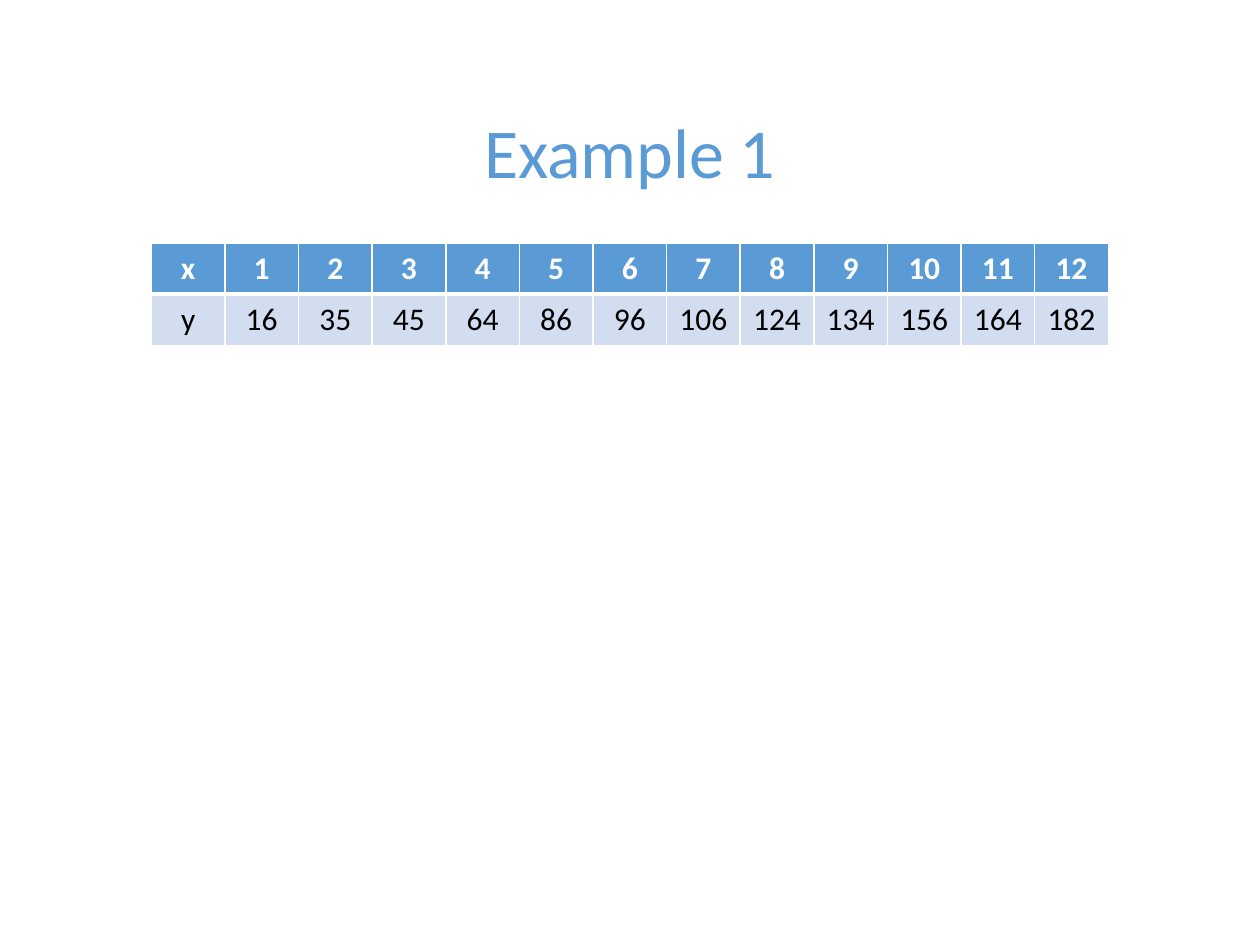
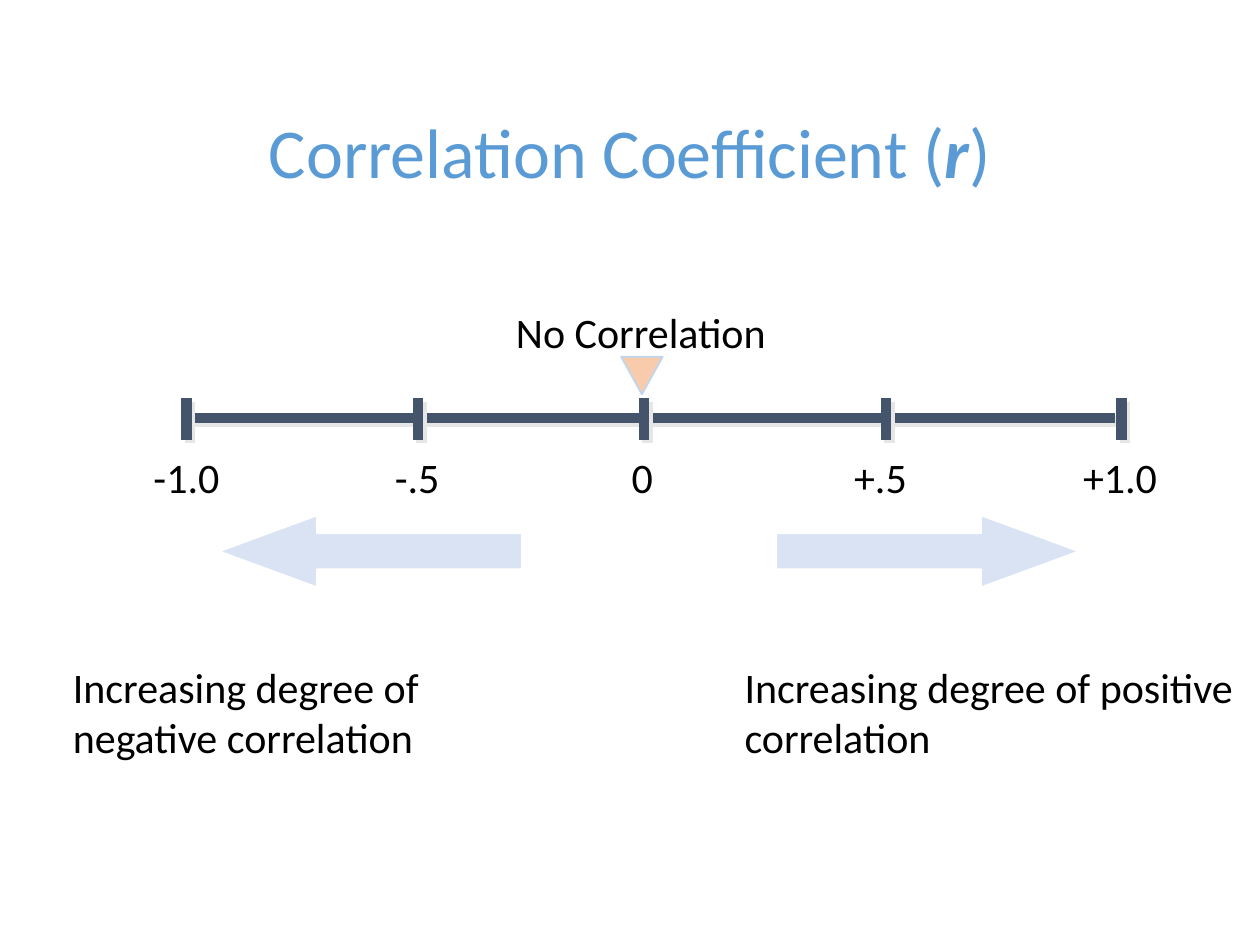
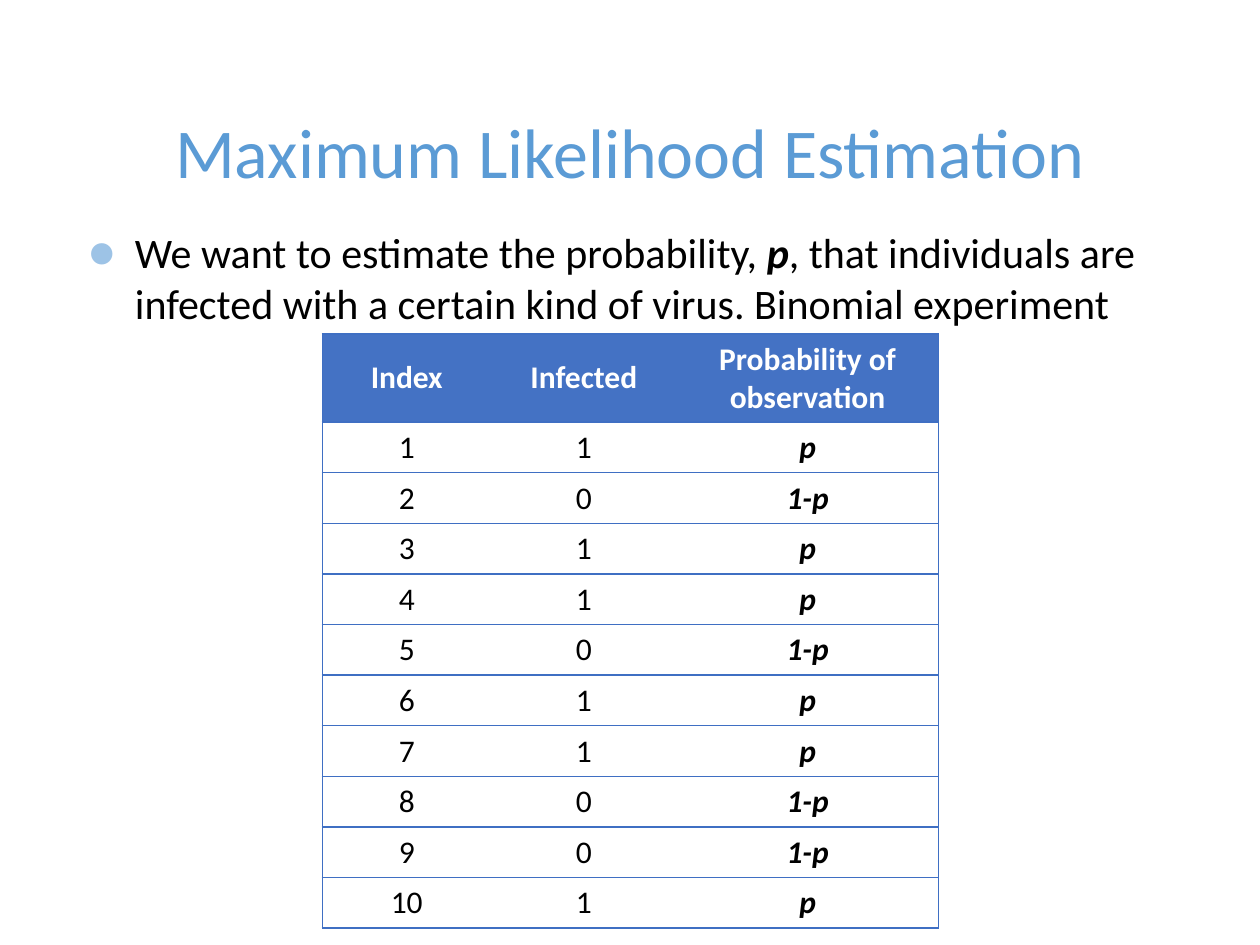
from dataclasses import dataclass
from typing import Optional

from lxml.etree import SubElement
from pptx import Presentation
from pptx.dml.color import RGBColor
from pptx.enum.shapes import MSO_CONNECTOR, MSO_SHAPE
from pptx.enum.text import MSO_ANCHOR, MSO_AUTO_SIZE, PP_ALIGN
from pptx.oxml import parse_xml
from pptx.oxml.ns import nsdecls, qn
from pptx.util import Cm, Pt

FONT = "Calibri"
BLACK, WHITE = "000000", "FFFFFF"
TITLE_BLUE, PALE_BLUE = "5B9BD5", "D2DEEF"
HEADER_BLUE, RULE_BLUE = "4472C4", "3F6FC3"
BULLET_BLUE = "9DC3E6"
SCALE_DARK, SCALE_SHADOW = "44546A", "E7E6E6"
MARKER_FILL, MARKER_LINE = "F8CBAD", "BDD7EE"
ARROW_FILL = "DAE3F3"

SCALE_Y, TICK_TOP, TICK_BOTTOM = 8.43, 8.03, 8.86
LABEL_TOP, LABEL_WIDTH, LABEL_HEIGHT = 8.97, 4.22, 1.27


@dataclass
class Tick:
    label: str
    x: float
    label_x: float


@dataclass
class Direction:
    text: str
    text_left: float
    text_width: float
    arrow: MSO_SHAPE
    arrow_left: float


@dataclass
class Border:
    color: str
    width: float


TICKS = [
    Tick("-1.0", 3.76, 3.76),
    Tick("-.5", 8.43, 8.41),
    Tick("0", 12.98, 12.95),
    Tick("+.5", 17.86, 17.75),
    Tick("+1.0", 22.61, 22.58),
]
DIRECTIONS = [
    Direction("Increasing degree of negative correlation", 1.22, 10.57,
              MSO_SHAPE.LEFT_ARROW, 4.42),
    Direction("Increasing degree of positive correlation", 14.76, 10.36,
              MSO_SHAPE.RIGHT_ARROW, 15.65),
]
Y_VALUES = [16, 35, 45, 64, 86, 96, 106, 124, 134, 156, 164, 182]
INFECTED = [1, 0, 1, 1, 0, 1, 1, 0, 0, 1]


def rgb(color: str) -> RGBColor:
    return RGBColor.from_string(color)


def write(tf, text: str, size=24, color=BLACK, bold=False, align=PP_ALIGN.LEFT) -> None:
    """Fill the first paragraph; parts between asterisks are bold italic."""
    p = tf.paragraphs[0]
    p.alignment = align
    for i, part in enumerate(text.split("*")):
        if not part:
            continue
        emphasis = i % 2 == 1
        r = p.add_run()
        r.text = part
        r.font.name, r.font.size = FONT, Pt(size)
        r.font.bold, r.font.italic = bold or emphasis, emphasis
        r.font.color.rgb = rgb(color)


def add_text(s, text: str, left: float, top: float, width: float, height: float, **fmt):
    tf = s.shapes.add_textbox(Cm(left), Cm(top), Cm(width), Cm(height)).text_frame
    tf.word_wrap = True
    write(tf, text, **fmt)
    return tf


def add_titled_slide(prs, title: str):
    s = prs.slides.add_slide(prs.slide_layouts[5])
    sp = s.shapes.title
    sp.left, sp.top, sp.width, sp.height = Cm(1.52), Cm(0.3), Cm(22.35), Cm(3.71)
    tf = sp.text_frame
    tf.auto_size = MSO_AUTO_SIZE.NONE
    tf.vertical_anchor = MSO_ANCHOR.BOTTOM
    write(tf, title, size=40, color=TITLE_BLUE, align=PP_ALIGN.CENTER)
    return s


def add_shape(s, kind: MSO_SHAPE, left: float, top: float, width: float, height: float,
              fill: str, line: str):
    sp = s.shapes.add_shape(kind, Cm(left), Cm(top), Cm(width), Cm(height))
    sp.shadow.inherit = False
    sp.fill.solid()
    sp.fill.fore_color.rgb = rgb(fill)
    sp.line.color.rgb = rgb(line)
    sp.line.width = Pt(1)
    return sp


def add_scale_line(s, x1: float, y1: float, x2: float, y2: float) -> None:
    line = s.shapes.add_connector(MSO_CONNECTOR.STRAIGHT, Cm(x1), Cm(y1), Cm(x2), Cm(y2))
    line.line.color.rgb = rgb(SCALE_DARK)
    line.line.width = Pt(6)
    effects = SubElement(line._element.spPr, qn("a:effectLst"))
    shadow = SubElement(effects, qn("a:outerShdw"), dist=str(Pt(2.8)), dir="2700000",
                        algn="ctr", rotWithShape="0")
    SubElement(shadow, qn("a:srgbClr"), val=SCALE_SHADOW)


def set_borders(cell, *borders: Optional[Border]) -> None:
    """Set the left, right, top and bottom borders; None hides one."""
    tc_pr = cell._tc.get_or_add_tcPr()
    for i, (side, border) in enumerate(zip("LRTB", borders)):
        fill = (f'<a:solidFill><a:srgbClr val="{border.color}"/></a:solidFill>'
                if border else "<a:noFill/>")
        width = Pt(border.width) if border else 0
        tc_pr.insert(i, parse_xml(
            f'<a:ln{side} {nsdecls("a")} w="{width}">{fill}</a:ln{side}>'))


def add_table(s, rows: list, left: float, top: float, widths: list, heights: list,
              anchor: MSO_ANCHOR, header_fill: str, body_fill: str):
    table = s.shapes.add_table(len(rows), len(widths), Cm(left), Cm(top),
                               Cm(sum(widths)), Cm(sum(heights))).table
    for column, width in zip(table.columns, widths):
        column.width = Cm(width)
    for i, (row, height) in enumerate(zip(rows, heights)):
        table.rows[i].height = Cm(height)
        header = i == 0
        for j, text in enumerate(row):
            cell = table.cell(i, j)
            cell.vertical_anchor = anchor
            cell.fill.solid()
            cell.fill.fore_color.rgb = rgb(header_fill if header else body_fill)
            write(cell.text_frame, str(text), size=18, bold=header,
                  color=WHITE if header else BLACK, align=PP_ALIGN.CENTER)
    return table


def add_example(prs) -> None:
    s = add_titled_slide(prs, "Example 1")
    rows = [["x", *range(1, len(Y_VALUES) + 1)], ["y", *Y_VALUES]]
    count = len(rows[0])
    table = add_table(s, rows, 3.05, 4.9, [19.3 / count] * count, [1.03] * 2,
                      MSO_ANCHOR.TOP, TITLE_BLUE, PALE_BLUE)
    thin, thick = Border(WHITE, 1), Border(WHITE, 3)
    for j in range(count):
        set_borders(table.cell(0, j), thin, thin, thin, thick)
        set_borders(table.cell(1, j), thin, thin, thick, thin)


def add_correlation(prs) -> None:
    s = add_titled_slide(prs, "Correlation Coefficient (*r*)")
    add_text(s, "No Correlation", 9.86, 6.05, 6.12, 1.27, align=PP_ALIGN.CENTER)
    add_scale_line(s, TICKS[0].x + 0.1, SCALE_Y, TICKS[-1].x - 0.13, SCALE_Y)
    for tick in TICKS:
        add_scale_line(s, tick.x, TICK_TOP, tick.x, TICK_BOTTOM)
        add_text(s, tick.label, tick.label_x - LABEL_WIDTH / 2, LABEL_TOP,
                 LABEL_WIDTH, LABEL_HEIGHT, align=PP_ALIGN.CENTER)
    marker = add_shape(s, MSO_SHAPE.ISOSCELES_TRIANGLE, 12.52, 7.19, 0.84, 0.76,
                       MARKER_FILL, MARKER_LINE)
    marker.rotation = 180
    for d in DIRECTIONS:
        add_text(s, d.text, d.text_left, 13.21, d.text_width, 2.31)
        arrow = add_shape(s, d.arrow, d.arrow_left, 10.39, 6.1, 1.45, ARROW_FILL, WHITE)
        arrow.adjustments[0], arrow.adjustments[1] = 0.5, 1.36


def add_likelihood(prs) -> None:
    s = add_titled_slide(prs, "Maximum Likelihood Estimation")
    tf = add_text(s, "We want to estimate the probability, *p*, that individuals are "
                     "infected with a certain kind of virus. Binomial experiment",
                  1.52, 4.45, 23.16, 12.07)
    p_pr = tf.paragraphs[0]._p.get_or_add_pPr()
    p_pr.set("marL", str(Cm(0.95)))
    p_pr.set("indent", str(-Cm(0.95)))
    SubElement(SubElement(p_pr, qn("a:buClr")), qn("a:srgbClr"), val=BULLET_BLUE)
    SubElement(p_pr, qn("a:buSzPct"), val="110000")
    SubElement(p_pr, qn("a:buFont"), typeface=FONT)
    SubElement(p_pr, qn("a:buChar"), char="●")

    rows = [["Index", "Infected", "Probability of observation"]]
    rows += [[i, hit, "*p*" if hit else "*1-p*"] for i, hit in enumerate(INFECTED, 1)]
    table = add_table(s, rows, 6.5, 6.73, [3.4, 3.74, 5.28],
                      [1.75] + [1.02] * len(INFECTED),
                      MSO_ANCHOR.MIDDLE, HEADER_BLUE, WHITE)
    rule = Border(RULE_BLUE, 1)
    last = len(rows[0]) - 1
    for i, row in enumerate(rows):
        for j in range(len(row)):
            set_borders(table.cell(i, j), rule if j == 0 else None,
                        rule if j == last else None, rule, rule)


def main() -> None:
    prs = Presentation()
    prs.slide_width, prs.slide_height = Cm(25.4), Cm(19.05)
    add_example(prs)
    add_correlation(prs)
    add_likelihood(prs)
    prs.save("out.pptx")


if __name__ == "__main__":
    main()
